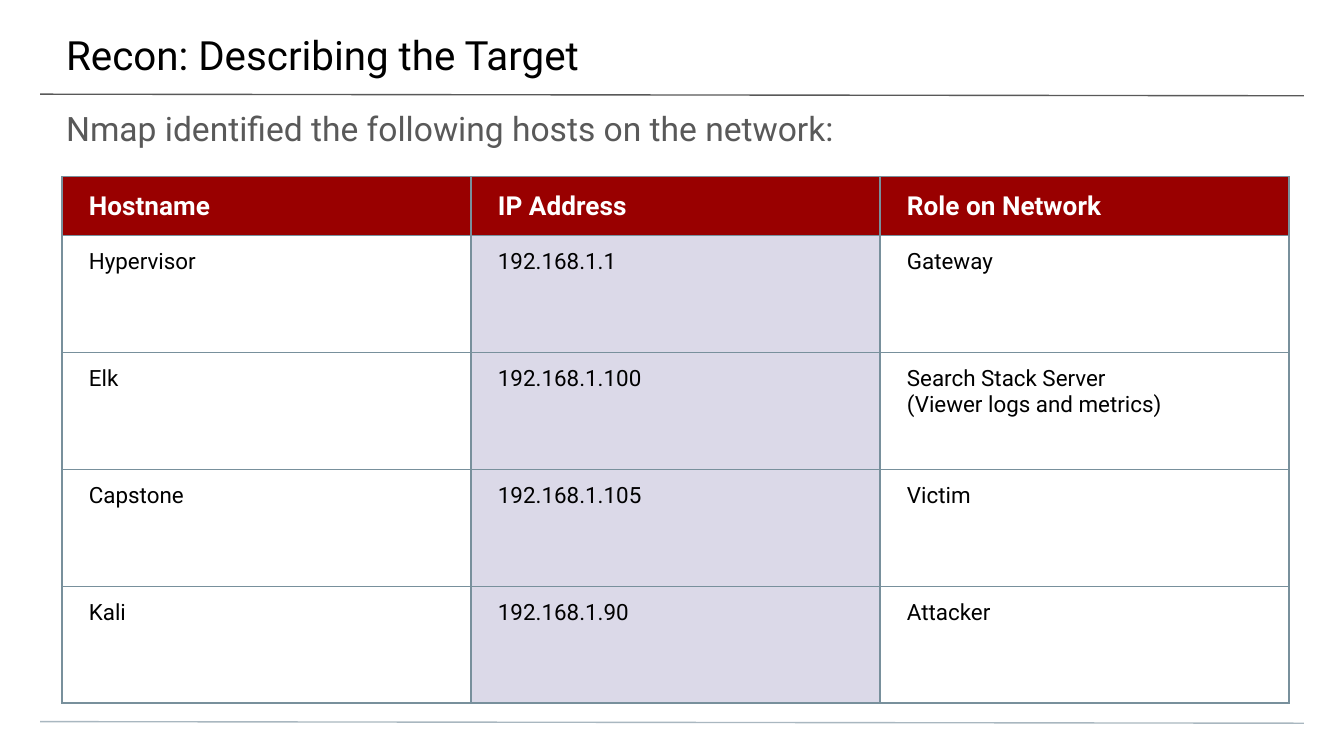
import dataclasses
import typing

import lxml.etree
import pptx
import pptx.dml.color
import pptx.enum.shapes
import pptx.enum.text
import pptx.oxml
import pptx.oxml.ns
import pptx.util

Cm = pptx.util.Cm
Pt = pptx.util.Pt
Anchor = pptx.enum.text.MSO_ANCHOR

FONT = "Roboto"
COLORS = {
    "black": "000000",
    "white": "FFFFFF",
    "gray": "595959",
    "footer": "A9B7C0",
    "border": "78909C",
    "header": "990000",
    "highlight": "DBD9E8",
}


@dataclasses.dataclass
class Heading:
    text: str
    top: float
    height: float
    top_inset: float
    size: float
    color: str
    line_spacing: float


@dataclasses.dataclass
class Rule:
    top: float
    color: str


@dataclasses.dataclass
class Host:
    name: str
    address: str
    role: str


HEADINGS = [
    Heading("Recon: Describing the Target", 0, 1.47, 0.58, 21.6, "black", 1.0),
    Heading("Nmap identified the following hosts on the network:",
            1.88, 1.02, 0.25, 18, "gray", 0.9),
]
RULES = [Rule(1.78, "gray"), Rule(13.64, "footer")]
COLUMN_TITLES = Host("Hostname", "IP Address", "Role on Network")
HOSTS = [
    Host("Hypervisor", "192.168.1.1", "Gateway"),
    Host("Elk", "192.168.1.100", "Search Stack Server\n(Viewer logs and metrics)"),
    Host("Capstone", "192.168.1.105", "Victim"),
    Host("Kali", "192.168.1.90", "Attacker"),
]


def rgb(name: str) -> pptx.dml.color.RGBColor:
    return pptx.dml.color.RGBColor.from_string(COLORS[name])


def write_text(frame, text: str, *, size: float, color: str = "black",
               bold: bool = False, line_spacing: float = 1.0) -> None:
    frame.word_wrap = True
    frame.text = text
    for paragraph in frame.paragraphs:
        paragraph.line_spacing = line_spacing
        paragraph.font.name = FONT
        paragraph.font.size = Pt(size)
        paragraph.font.bold = bold
        paragraph.font.color.rgb = rgb(color)


def draw_heading(slide, heading: Heading) -> None:
    shape = slide.shapes.add_textbox(
        Cm(0), Cm(heading.top), Cm(25.4), Cm(heading.height))
    frame = shape.text_frame
    frame.margin_left = frame.margin_right = Cm(1.25)
    frame.margin_top = Cm(heading.top_inset)
    frame.margin_bottom = Cm(0)
    frame.vertical_anchor = Anchor.TOP
    write_text(frame, heading.text, size=heading.size, color=heading.color,
               line_spacing=heading.line_spacing)


def draw_rule(slide, rule: Rule) -> None:
    connector = slide.shapes.add_connector(
        pptx.enum.shapes.MSO_CONNECTOR.STRAIGHT,
        Cm(0.76), Cm(rule.top), Cm(24.64), Cm(rule.top + 0.03))
    connector.line.color.rgb = rgb(rule.color)
    connector.line.width = Pt(0.75)
    properties = connector._element.spPr
    lxml.etree.SubElement(properties, pptx.oxml.ns.qn("a:effectLst"))


def add_borders(cell) -> None:
    properties = cell._tc.get_or_add_tcPr()
    for position, side in enumerate(("lnL", "lnR", "lnT", "lnB")):
        border = pptx.oxml.parse_xml(
            f'<a:{side} {pptx.oxml.ns.nsdecls("a")} w="{Pt(0.75)}">'
            f'<a:solidFill><a:srgbClr val="{COLORS["border"]}"/></a:solidFill>'
            f'</a:{side}>')
        properties.insert(position, border)


def fill_cell(cell, text: str, fill: typing.Optional[str], is_header: bool) -> None:
    cell.margin_left = cell.margin_right = Cm(0.51)
    cell.margin_top = cell.margin_bottom = Cm(0.25)
    cell.vertical_anchor = Anchor.MIDDLE if is_header else Anchor.TOP
    if fill:
        cell.fill.solid()
        cell.fill.fore_color.rgb = rgb(fill)
    else:
        cell.fill.background()
    add_borders(cell)
    write_text(cell.text_frame, text, size=14 if is_header else 12,
               color="white" if is_header else "black", bold=is_header)


def draw_host_table(slide, hosts: typing.List[Host]) -> None:
    records = [COLUMN_TITLES, *hosts]
    header_height, row_height, column_width = 1.11, 2.21, 7.73
    table = slide.shapes.add_table(
        len(records), 3, Cm(1.17), Cm(3.34), Cm(3 * column_width),
        Cm(header_height + len(hosts) * row_height)).table
    for column in table.columns:
        column.width = Cm(column_width)
    for row_index, record in enumerate(records):
        is_header = row_index == 0
        table.rows[row_index].height = Cm(header_height if is_header else row_height)
        fills = ["header"] * 3 if is_header else [None, "highlight", None]
        for column_index, text in enumerate(dataclasses.astuple(record)):
            fill_cell(table.cell(row_index, column_index), text,
                      fills[column_index], is_header)


def main() -> None:
    presentation = pptx.Presentation()
    presentation.slide_width = Cm(25.4)
    presentation.slide_height = Cm(14.29)
    slide = presentation.slides.add_slide(presentation.slide_layouts[6])
    for rule in RULES:
        draw_rule(slide, rule)
    for heading in HEADINGS:
        draw_heading(slide, heading)
    draw_host_table(slide, HOSTS)
    presentation.save("out.pptx")


if __name__ == "__main__":
    main()
